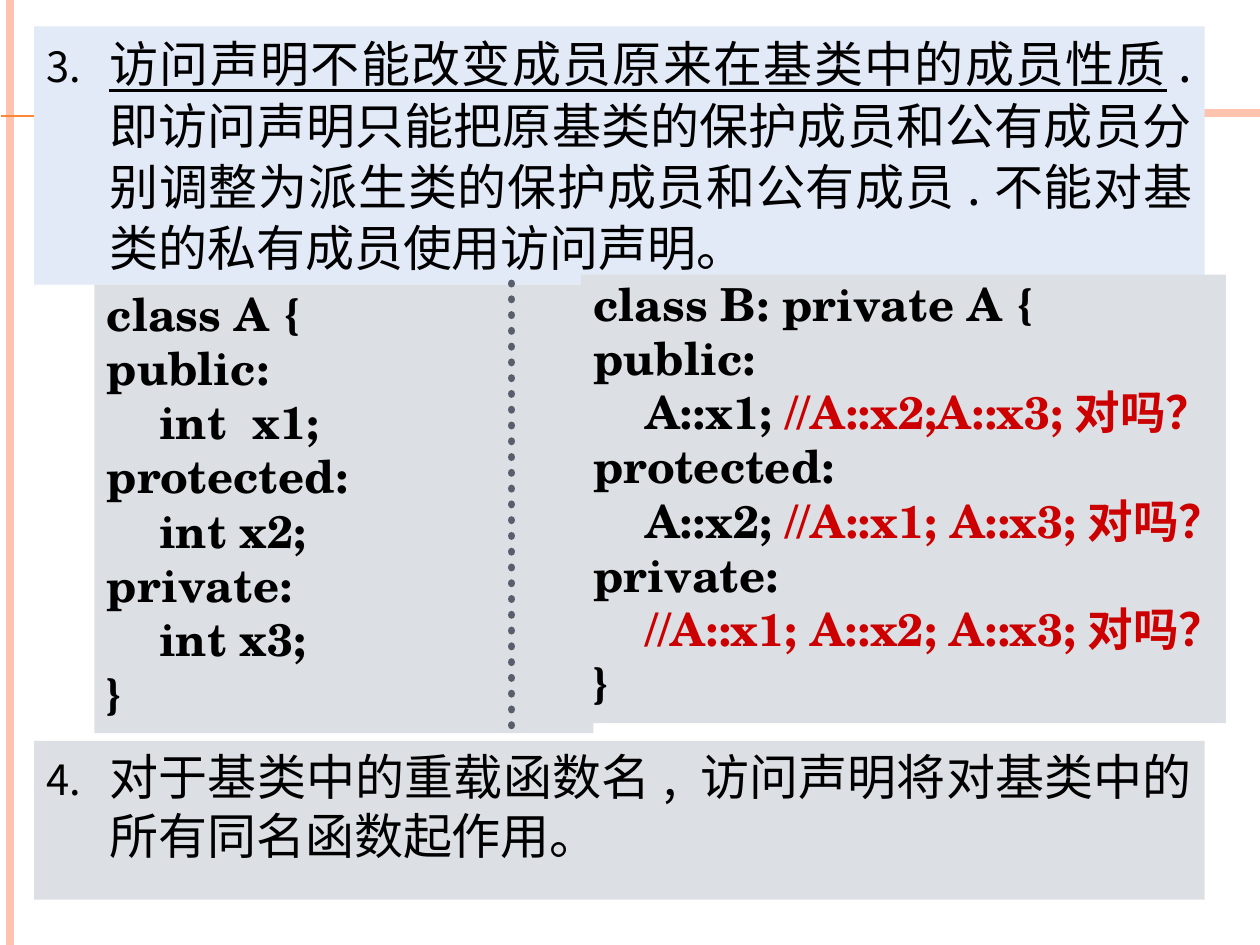
from lxml import etree
from pptx import Presentation
from pptx.dml.color import RGBColor
from pptx.enum.dml import MSO_LINE
from pptx.enum.shapes import MSO_CONNECTOR, MSO_SHAPE
from pptx.enum.text import MSO_ANCHOR, PP_ALIGN
from pptx.oxml.ns import qn
from pptx.util import Inches, Pt

rgb = RGBColor.from_string
CJK, SERIF = "Noto Sans CJK SC", "TeX Gyre Schola"
BLACK, RED, GREY, BLUE = "000000", "CC0000", "DCDFE3", "E3EAF7"

prs = Presentation()
prs.slide_width, prs.slide_height = Inches(10), Inches(7.5)
slide = prs.slides.add_slide(prs.slide_layouts[6])


def add_rule(x1, y1, x2, y2, color, width):
    rule = slide.shapes.add_connector(
        MSO_CONNECTOR.STRAIGHT, Inches(x1), Inches(y1), Inches(x2), Inches(y2))
    rule.line.color.rgb = rgb(color)
    rule.line.width = Pt(width)
    etree.SubElement(rule._element.spPr, qn("a:effectLst"))
    return rule


def add_panel(left, top, width, height, fill, paragraphs, font, spacing,
              inset_top, number=None):
    panel = slide.shapes.add_shape(
        MSO_SHAPE.RECTANGLE, Inches(left), Inches(top), Inches(width), Inches(height))
    panel.shadow.inherit = False
    panel.fill.solid()
    panel.fill.fore_color.rgb = rgb(fill)
    panel.line.fill.background()
    frame = panel.text_frame
    frame_format = {"word_wrap": True, "vertical_anchor": MSO_ANCHOR.TOP,
                    "margin_top": Inches(inset_top)}
    for name, value in frame_format.items():
        setattr(frame, name, value)
    for index, runs in enumerate(paragraphs):
        paragraph = frame.add_paragraph() if index else frame.paragraphs[0]
        paragraph.alignment = PP_ALIGN.JUSTIFY if number else PP_ALIGN.LEFT
        paragraph.line_spacing = Pt(spacing)
        if number:
            props = paragraph._p.get_or_add_pPr()
            props.set("marL", str(Inches(0.5)))
            props.set("indent", str(-Inches(0.5)))
            etree.SubElement(props, qn("a:buSzPct"), val="85000")
            etree.SubElement(props, qn("a:buAutoNum"), type="arabicPeriod",
                             startAt=str(number))
        for text, color, underline in runs:
            run = paragraph.add_run()
            run.text = text
            for name, value in {**font, "underline": underline}.items():
                setattr(run.font, name, value)
            run.font.color.rgb = rgb(color)
            etree.SubElement(run._r.get_or_add_rPr(), qn("a:ea"), typeface=CJK)


for rule in [
    (0.08, 0, 0.08, 7.5, "FEC3AE", 4.5),
    (0.01, 0.92, 10, 0.92, "FE8637", 0.75),
    (0.19, 0.92, 10, 0.92, "FE8637", 0.75),
    (0.54, 0.87, 10, 0.87, "FE8637", 0.75),
    (0.36, 0.9, 10, 0.9, "FEC3AE", 4.5),
]:
    add_rule(*rule)

statement_font = {"name": CJK, "size": Pt(28), "bold": False}
code_font = {"name": SERIF, "size": Pt(26), "bold": True}

access_statement = [
    ("访问声明不能改变成员原来在基类中的成员性质", BLACK, True),
    (". 即访问声明只能把原基类的保护成员和公有成员分别调整为派生类的保护成员和公有成员."
     "不能对基类的私有成员使用访问声明。", BLACK, False),
]
overload_statement = [
    ("对于基类中的重载函数名, 访问声明将对基类中的所有同名函数起作用。", BLACK, False),
]
class_a = ["class A {", "public:", "    int  x1;", "protected:",
           "    int x2;", "private:", "    int x3;", "}"]
class_b = [
    ("class B: private A {", ""),
    ("public:", ""),
    ("    A::x1; ", "//A::x2;A::x3;对吗？"),
    ("protected:", ""),
    ("    A::x2; ", "//A::x1; A::x3;对吗？"),
    ("private:", ""),
    ("    ", "//A::x1; A::x2; A::x3;对吗？"),
    ("}", ""),
]
class_a_lines = [[(code, BLACK, False)] for code in class_a]
class_b_lines = [
    [(text, color, False) for text, color in ((code, BLACK), (comment, RED)) if text]
    for code, comment in class_b
]

add_panel(0.27, 0.21, 9.29, 2.05, BLUE, [access_statement], statement_font, 35,
          inset_top=0.04, number=3)
add_panel(0.75, 2.26, 3.96, 3.56, GREY, class_a_lines, code_font, 31, inset_top=0.01)
add_panel(4.61, 2.18, 5.12, 3.56, GREY, class_b_lines, code_font, 31, inset_top=0.01)

class_divider = add_rule(4.06, 2.25, 4.06, 5.87, "575F6D", 4.5)
class_divider.line.dash_style = MSO_LINE.ROUND_DOT
class_divider.line._get_or_add_ln().set("cap", "rnd")

add_panel(0.27, 5.88, 9.29, 1.26, GREY, [overload_statement], statement_font, 33.7,
          inset_top=0.04, number=4)

prs.save("out.pptx")
